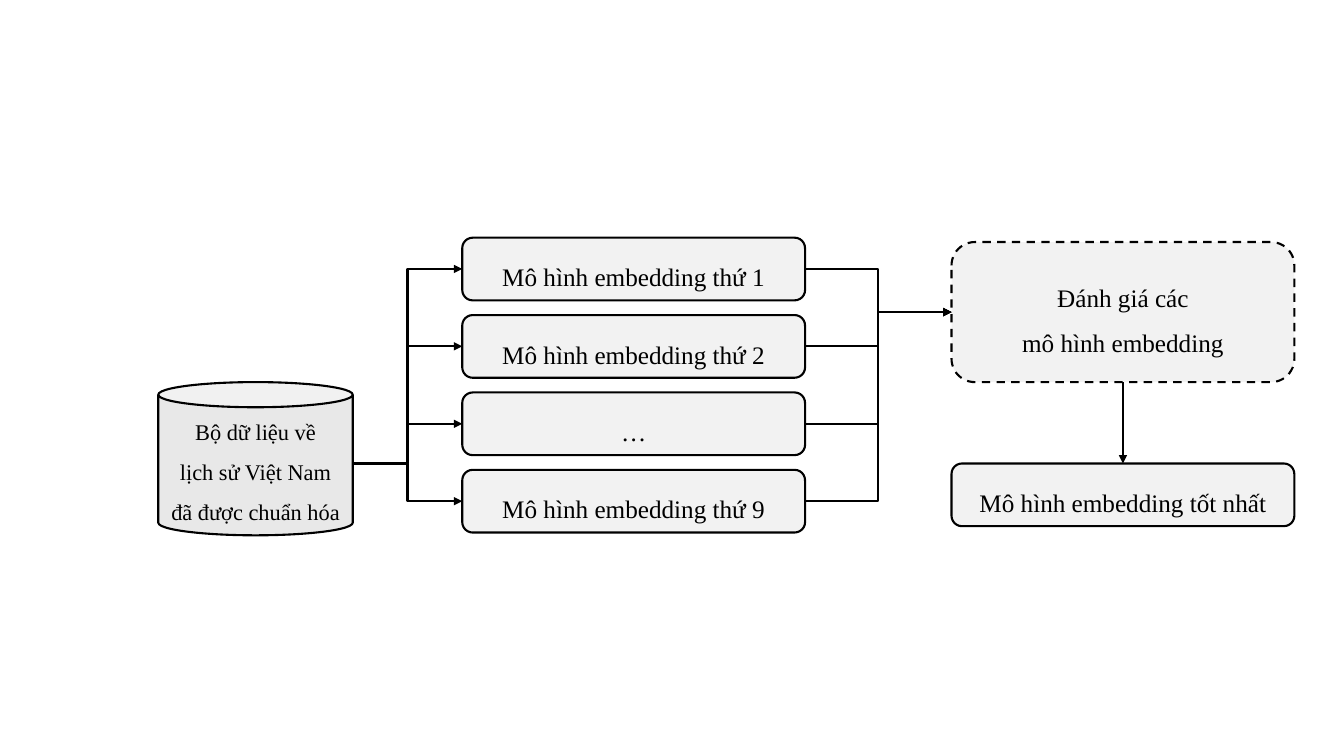
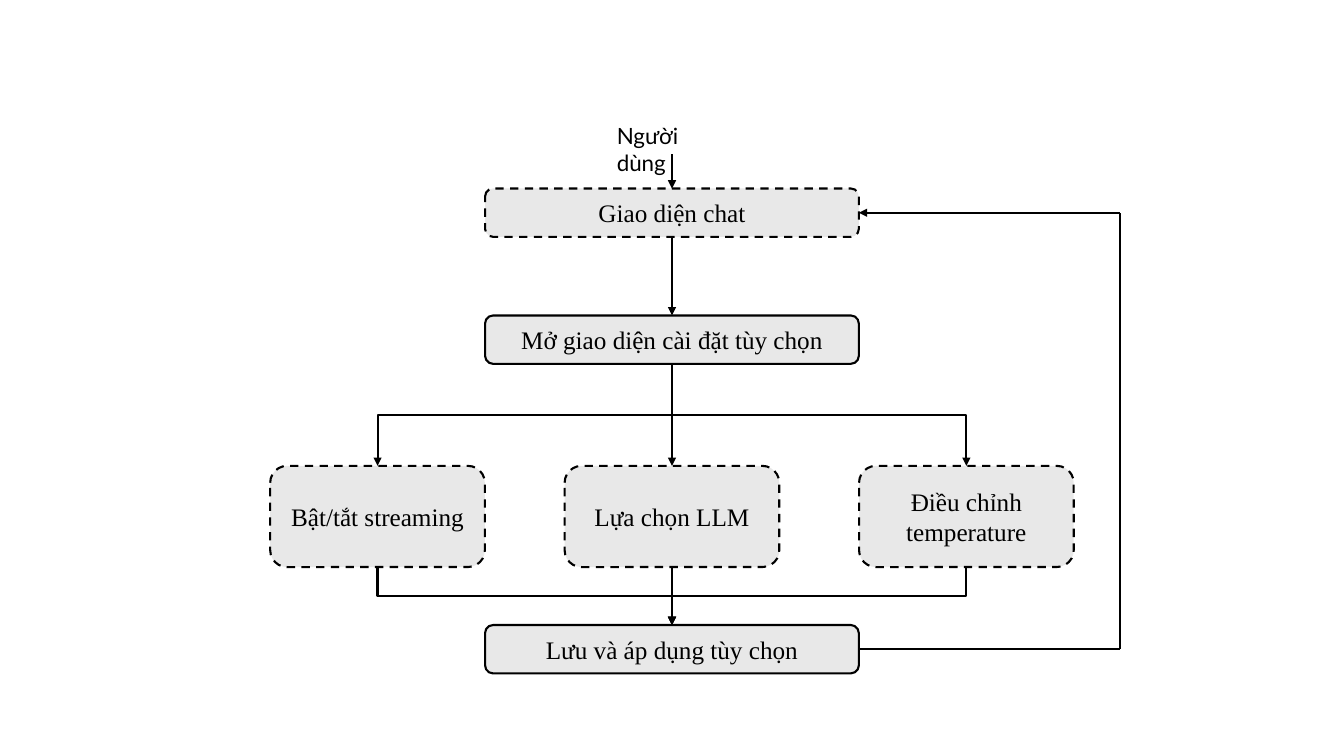
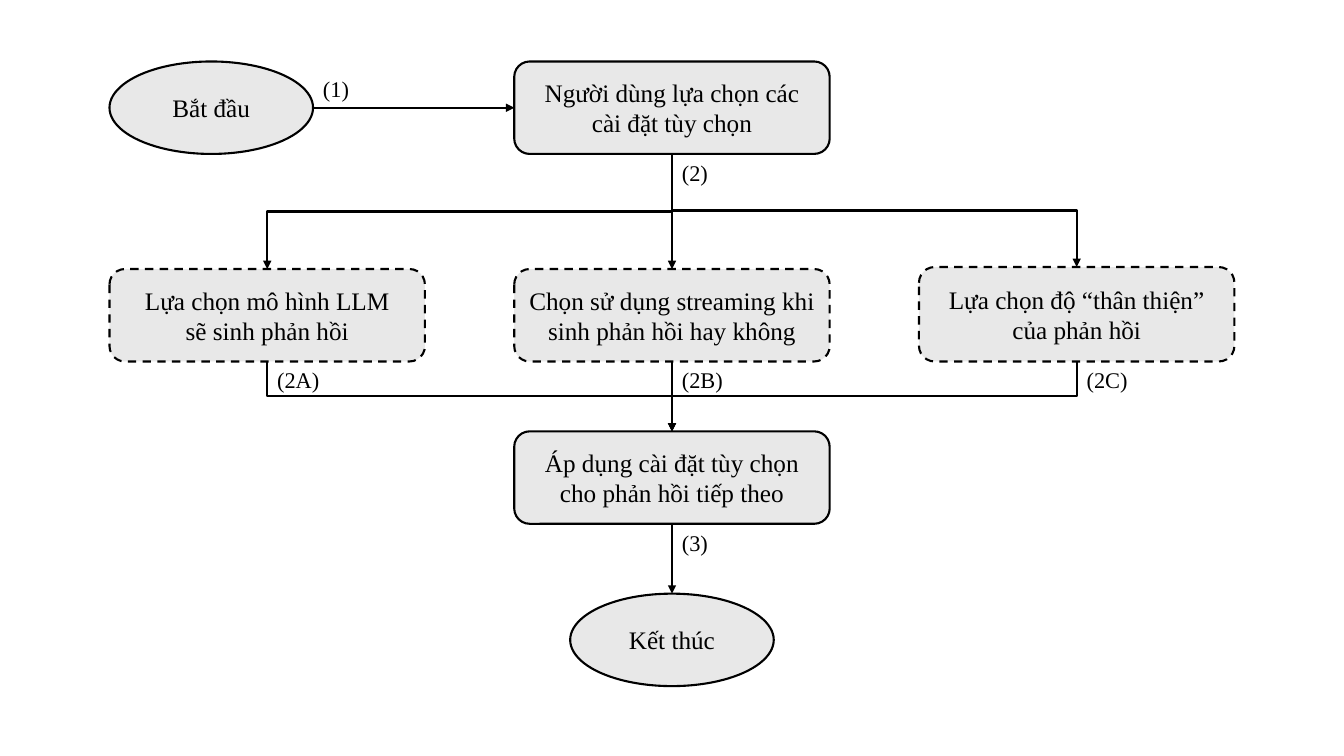
from dataclasses import dataclass
from typing import Any

from lxml.etree import SubElement
from pptx import Presentation
from pptx.dml.color import RGBColor
from pptx.enum.dml import MSO_LINE
from pptx.enum.shapes import MSO_CONNECTOR, MSO_SHAPE
from pptx.enum.text import MSO_ANCHOR, PP_ALIGN
from pptx.oxml.ns import qn
from pptx.util import Cm, Pt

COLORS = {"ink": "000000", "model": "F2F2F2", "node": "E8E8E8"}
SERIF, SANS = "Times New Roman", "Lato"
LINE_WIDTH = Pt(1.5)
LABEL_HEIGHT = 0.94


@dataclass
class Port:
    x: int
    y: int
    shape: Any = None
    side: int = 0


def color(name):
    return RGBColor.from_string(COLORS[name])


def write(tf, text, size=18, font=SERIF, align=PP_ALIGN.CENTER, spacing=1.0):
    tf.word_wrap = True
    for i, line in enumerate(text.split("\n")):
        p = tf.paragraphs[0] if i == 0 else tf.add_paragraph()
        p.alignment = align
        p.line_spacing = spacing
        r = p.add_run()
        r.text = line
        r.font.size = Pt(size)
        r.font.name = font
        r.font.color.rgb = color("ink")


def node(s, text, x, y, w, h, kind=MSO_SHAPE.ROUNDED_RECTANGLE, fill="node",
         dashed=False, **fmt):
    sp = s.shapes.add_shape(kind, Cm(x), Cm(y), Cm(w), Cm(h))
    sp.shadow.inherit = False
    sp.fill.solid()
    sp.fill.fore_color.rgb = color(fill)
    sp.line.color.rgb = color("ink")
    sp.line.width = LINE_WIDTH
    if dashed:
        sp.line.dash_style = MSO_LINE.DASH
    sp.text_frame.vertical_anchor = MSO_ANCHOR.MIDDLE
    write(sp.text_frame, text, **fmt)
    return sp


def label(s, text, x, y, w=1.8, wrap=False, font=SERIF):
    tb = s.shapes.add_textbox(Cm(x), Cm(y), Cm(w), Cm(LABEL_HEIGHT))
    write(tb.text_frame, text, size=16, font=font, align=PP_ALIGN.LEFT)
    tb.text_frame.word_wrap = wrap


def port(sp, side):
    mid_x, mid_y = sp.left + sp.width // 2, sp.top + sp.height // 2
    x, y = [(mid_x, sp.top), (sp.left, mid_y),
            (mid_x, sp.top + sp.height), (sp.left + sp.width, mid_y)][side]
    glued = sp.auto_shape_type == MSO_SHAPE.ROUNDED_RECTANGLE
    return Port(x, y, sp if glued else None, side)


def link(s, start, end, arrow=True):
    dx, dy = end.x - start.x, end.y - start.y
    straight = min(abs(dx), abs(dy)) < Cm(0.05)
    kind = MSO_CONNECTOR.STRAIGHT if straight else MSO_CONNECTOR.ELBOW
    c = s.shapes.add_connector(kind, start.x, start.y, end.x, end.y)
    if start.shape is not None:
        c.begin_connect(start.shape, start.side)
    if end.shape is not None:
        c.end_connect(end.shape, end.side)
    if not straight and start.side == 2:
        turn_down(c, start, dx, dy)
    c.line.color.rgb = color("ink")
    c.line.width = LINE_WIDTH
    sp_pr = c.element.spPr
    if arrow:
        SubElement(sp_pr.find(qn("a:ln")), qn("a:tailEnd"), type="triangle")
    SubElement(sp_pr, qn("a:effectLst"))


def turn_down(c, start, dx, dy):
    """Make an elbow leave downwards: a quarter turn about its centre."""
    c.width, c.height = abs(dy), abs(dx)
    c.left = start.x + (dx - abs(dy)) // 2
    c.top = start.y + (dy - abs(dx)) // 2
    xfrm = c.element.spPr.find(qn("a:xfrm"))
    for name in ("flipH", "flipV"):
        xfrm.attrib.pop(name, None)
    xfrm.set("rot", str((90 if dx < 0 else 270) * 60000))
    if dx > 0:
        xfrm.set("flipH", "1")


def fan(s, source, options, target):
    for option in options:
        link(s, port(source, 2), port(option, 0))
    for option in options:
        link(s, port(option, 2), port(target, 0))


def embedding_flow(s, x, y):
    w, h, pitch = 8.64, 1.58, 1.95
    data_y, models_x, result_x = y + 3.64, x + 7.66, x + 19.99
    fmt = dict(fill="model", spacing=1.5)
    names = ["Mô hình embedding thứ 1", "Mô hình embedding thứ 2", "…",
             "Mô hình embedding thứ 9"]
    models = [node(s, name, models_x, y + i * pitch, w, h, **fmt)
              for i, name in enumerate(names)]
    review = node(s, "Đánh giá các\nmô hình embedding", result_x, y + 0.11,
                  w, 3.53, dashed=True, **fmt)
    best = node(s, "Mô hình embedding tốt nhất", result_x, y + 5.69, w, h, **fmt)
    data = node(s, "Bộ dữ liệu về\nlịch sử Việt Nam đã được chuẩn hóa", x, data_y,
                4.9, 3.86, kind=MSO_SHAPE.CAN, size=16, spacing=1.5)
    data.adjustments[0] = 0.164
    outlet = Port(data.left + data.width, Cm(data_y + 2.05), side=3)
    for model in models:
        link(s, outlet, port(model, 1))
        link(s, port(model, 3), port(review, 1))
    link(s, port(review, 2), port(best, 0))


def settings_flow(s, x, y):
    w, h, option_w, pitch = 9.42, 1.22, 5.41, 7.42
    mid = x + pitch + option_w / 2
    label(s, "Người dùng", mid - 1.64, y, w=3.25, wrap=True, font=SANS)
    chat, settings, save = [
        node(s, text, mid - w / 2, y + dy, w, h, dashed=dashed)
        for text, dy, dashed in [("Giao diện chat", 1.8, True),
                                 ("Mở giao diện cài đặt tùy chọn", 5, False),
                                 ("Lưu và áp dụng tùy chọn", 12.8, False)]]
    names = ["Bật/tắt streaming", "Lựa chọn LLM", "Điều chỉnh temperature"]
    options = [node(s, name, x + i * pitch, y + 8.79, option_w, 2.55, dashed=True)
               for i, name in enumerate(names)]
    link(s, Port(Cm(mid), Cm(y + LABEL_HEIGHT)), port(chat, 0))
    link(s, port(chat, 2), port(settings, 0))
    fan(s, settings, options, save)
    leave, back = port(save, 3), port(chat, 3)
    low, high = [Port(Cm(x + 21.41), end.y) for end in (leave, back)]
    link(s, leave, low, arrow=False)
    link(s, low, high, arrow=False)
    link(s, high, back)


def response_flow(s, x, y):
    w, h, oval_w, pitch = 7.95, 2.33, 5.13, 10.2
    mid = x + pitch + w / 2
    choose_y, options_y, apply_y, end_y = y, y + 5.23, y + 9.32, y + 13.41
    start = node(s, "Bắt đầu", x, y, oval_w, h, kind=MSO_SHAPE.OVAL)
    choose = node(s, "Người dùng lựa chọn các\ncài đặt tùy chọn",
                  x + pitch, choose_y, w, h)
    names = ["Lựa chọn mô hình LLM\nsẽ sinh phản hồi",
             "Chọn sử dụng streaming khi\nsinh phản hồi hay không",
             "Lựa chọn độ “thân thiện”\ncủa phản hồi"]
    raises = [0, 0, 0.05]
    options = [node(s, name, x + i * pitch, options_y - up, w, h + up, dashed=True)
               for i, (name, up) in enumerate(zip(names, raises))]
    apply = node(s, "Áp dụng cài đặt tùy chọn cho phản hồi tiếp theo",
                 x + pitch, apply_y, w, h)
    end = node(s, "Kết thúc", mid - oval_w / 2, end_y, oval_w, h,
               kind=MSO_SHAPE.OVAL)
    link(s, port(start, 3), port(choose, 1))
    fan(s, choose, options, apply)
    link(s, port(apply, 2), port(end, 0))
    label(s, "(1)", x + oval_w, y + h / 2 - LABEL_HEIGHT)
    label(s, "(2)", mid, choose_y + h)
    for i, text in enumerate(["(2A)", "(2B)", "(2C)"]):
        label(s, text, x + w / 2 + i * pitch, options_y + h)
    label(s, "(3)", mid, apply_y + h)


def main():
    prs = Presentation()
    prs.slide_width, prs.slide_height = Cm(33.87), Cm(19.05)
    flows = [(embedding_flow, 3.99, 5.99), (settings_flow, 6.81, 2.95),
             (response_flow, 2.76, 1.55)]
    for flow, x, y in flows:
        flow(prs.slides.add_slide(prs.slide_layouts[6]), x, y)
    prs.save("out.pptx")


if __name__ == "__main__":
    main()
